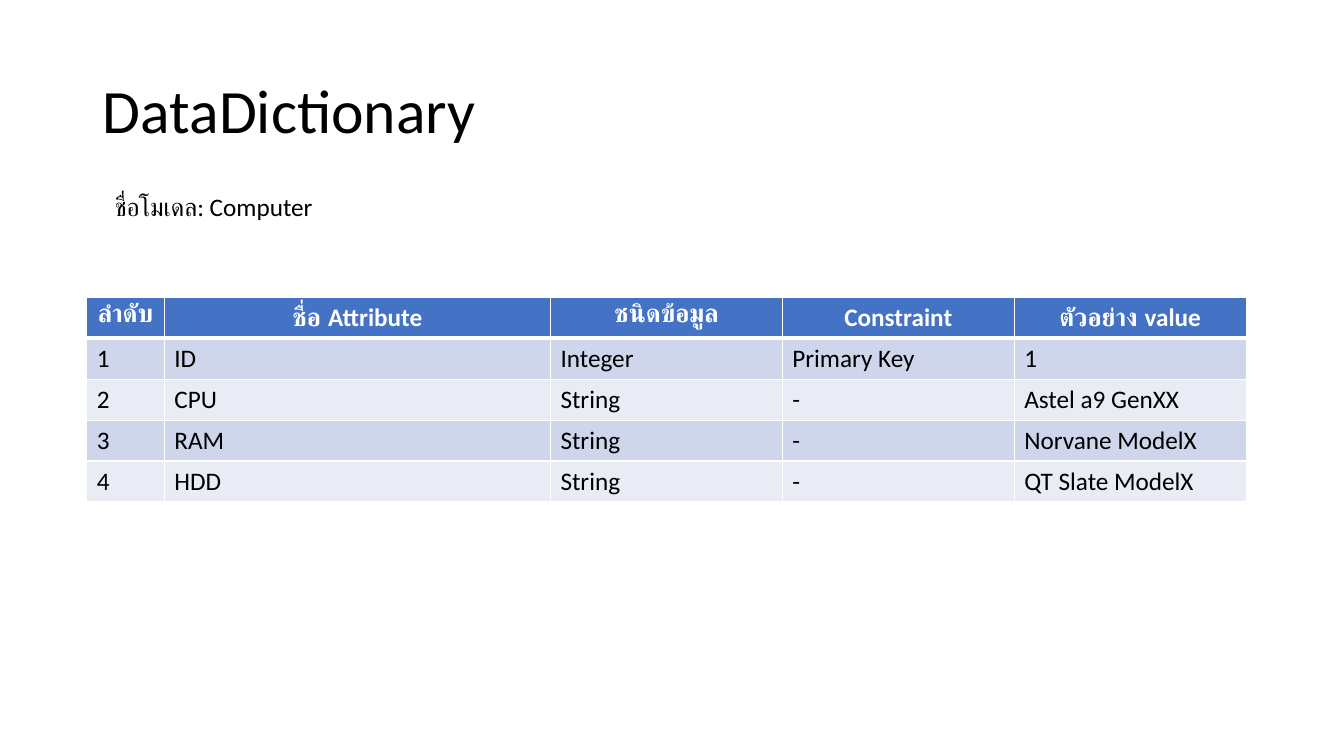
"""Build the DataDictionary slide for the Computer model."""
import dataclasses

import pptx
import pptx.dml.color
import pptx.enum.text
import pptx.oxml
import pptx.oxml.ns
import pptx.util

TITLE = "DataDictionary"
MODEL = "ชื่อโมเดล: Computer"
HEADER = ("ลำดับ", "ชื่อ Attribute", "ชนิดข้อมูล", "Constraint", "ตัวอย่าง value")
ATTRIBUTES = [
    ("1", "ID", "Integer", "Primary Key", "1"),
    ("2", "CPU", "String", "-", "Astel a9 GenXX"),
    ("3", "RAM", "String", "-", "Norvane ModelX"),
    ("4", "HDD", "String", "-", "QT Slate ModelX"),
]
COLUMN_WIDTHS = (0.77, 3.83, 2.3, 2.3, 2.3)
ROW_HEIGHT = 0.406

Inches = pptx.util.Inches
PP_ALIGN = pptx.enum.text.PP_ALIGN
MSO_ANCHOR = pptx.enum.text.MSO_ANCHOR
MSO_AUTO_SIZE = pptx.enum.text.MSO_AUTO_SIZE


@dataclasses.dataclass(frozen=True)
class Theme:
    font: str = "Calibri"
    title_size: int = 44
    body_size: int = 18
    text: str = "000000"
    light: str = "FFFFFF"
    header: str = "4472C4"
    bands: tuple = ("CFD5EA", "E9EBF5")
    thin: int = 1
    thick: int = 3


THEME = Theme()


def rgb(color):
    return pptx.dml.color.RGBColor.from_string(color)


def write(tf, text, size, color, bold=False, align=PP_ALIGN.LEFT):
    tf.text = text
    p = tf.paragraphs[0]
    p.alignment = align
    font = p.runs[0].font
    font.name, font.size, font.bold = THEME.font, pptx.util.Pt(size), bold
    font.color.rgb = rgb(color)


def set_borders(cell, **widths):
    tcPr = cell._tc.get_or_add_tcPr()
    for side in "LRTB":
        width = pptx.util.Pt(widths.get(side, THEME.thin))
        tcPr.append(pptx.oxml.parse_xml(
            f'<a:ln{side} {pptx.oxml.ns.nsdecls("a")} w="{width}"><a:solidFill>'
            f'<a:srgbClr val="{THEME.light}"/></a:solidFill></a:ln{side}>'))


def add_title(s):
    sp = s.shapes.title
    sp.left, sp.top, sp.width, sp.height = map(Inches, (0.92, 0.4, 11.5, 1.45))
    write(sp.text_frame, TITLE, THEME.title_size, THEME.text)
    sp.text_frame.auto_size = MSO_AUTO_SIZE.NONE
    sp.text_frame.vertical_anchor = MSO_ANCHOR.MIDDLE
    sp.text_frame.paragraphs[0].line_spacing = 0.9


def add_attribute_table(s):
    rows = [HEADER, *ATTRIBUTES]
    table = s.shapes.add_table(
        len(rows), len(HEADER), Inches(0.86), Inches(2.95),
        Inches(sum(COLUMN_WIDTHS)), Inches(ROW_HEIGHT * len(rows))).table
    for column, width in zip(table.columns, COLUMN_WIDTHS):
        column.width = Inches(width)
    for i, row in enumerate(rows):
        for j, text in enumerate(row):
            cell = table.cell(i, j)
            if i == 0:
                write(cell.text_frame, text, THEME.body_size, THEME.light, True, PP_ALIGN.CENTER)
                set_borders(cell, B=THEME.thick)
                fill = THEME.header
            else:
                write(cell.text_frame, text, THEME.body_size, THEME.text)
                set_borders(cell, T=THEME.thick if i == 1 else THEME.thin)
                fill = THEME.bands[(i - 1) % 2]
            cell.fill.solid()
            cell.fill.fore_color.rgb = rgb(fill)


def add_model_name(s):
    tf = s.shapes.add_textbox(*map(Inches, (1.04, 1.85, 4.09, 0.4))).text_frame
    tf.word_wrap = True
    tf.auto_size = MSO_AUTO_SIZE.SHAPE_TO_FIT_TEXT
    write(tf, MODEL, THEME.body_size, THEME.text)


def main():
    prs = pptx.Presentation()
    prs.slide_width, prs.slide_height = Inches(13.33), Inches(7.5)
    s = prs.slides.add_slide(prs.slide_layouts.get_by_name("Title Only"))
    add_title(s)
    add_attribute_table(s)
    add_model_name(s)
    prs.save("out.pptx")


if __name__ == "__main__":
    main()
